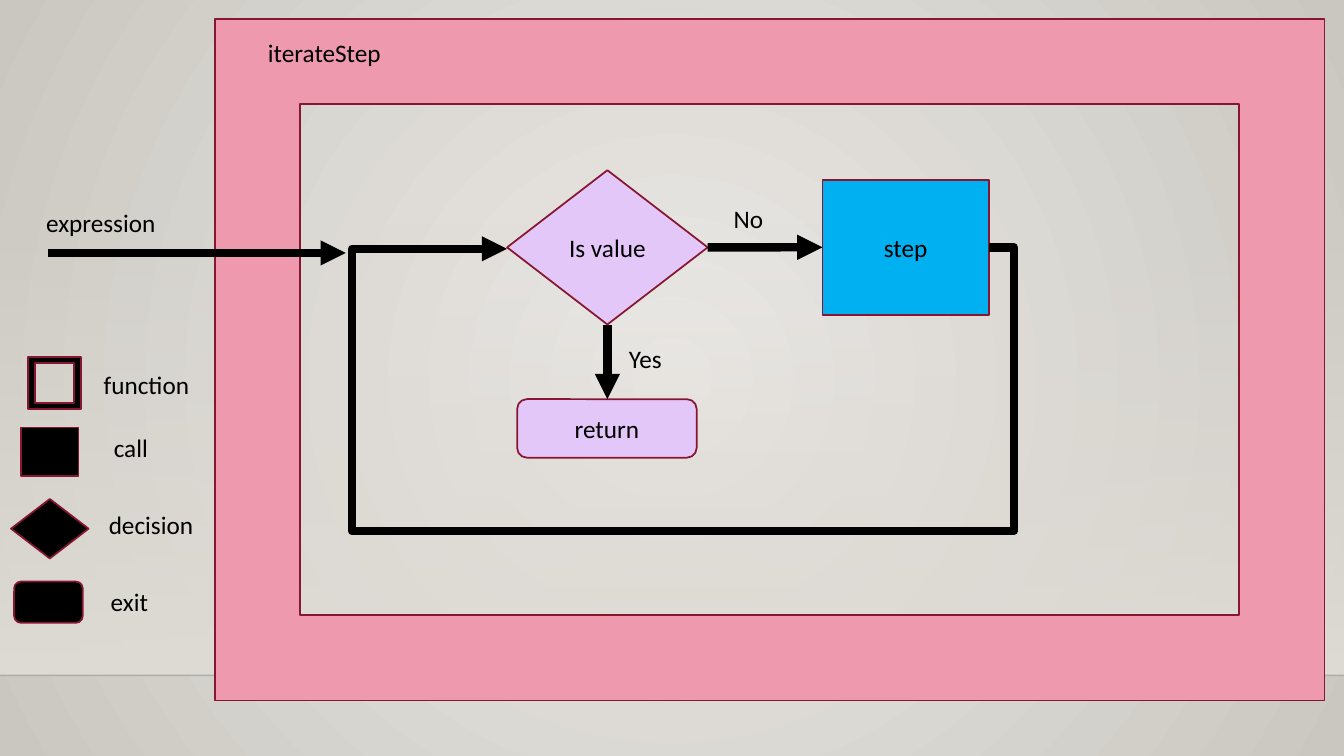
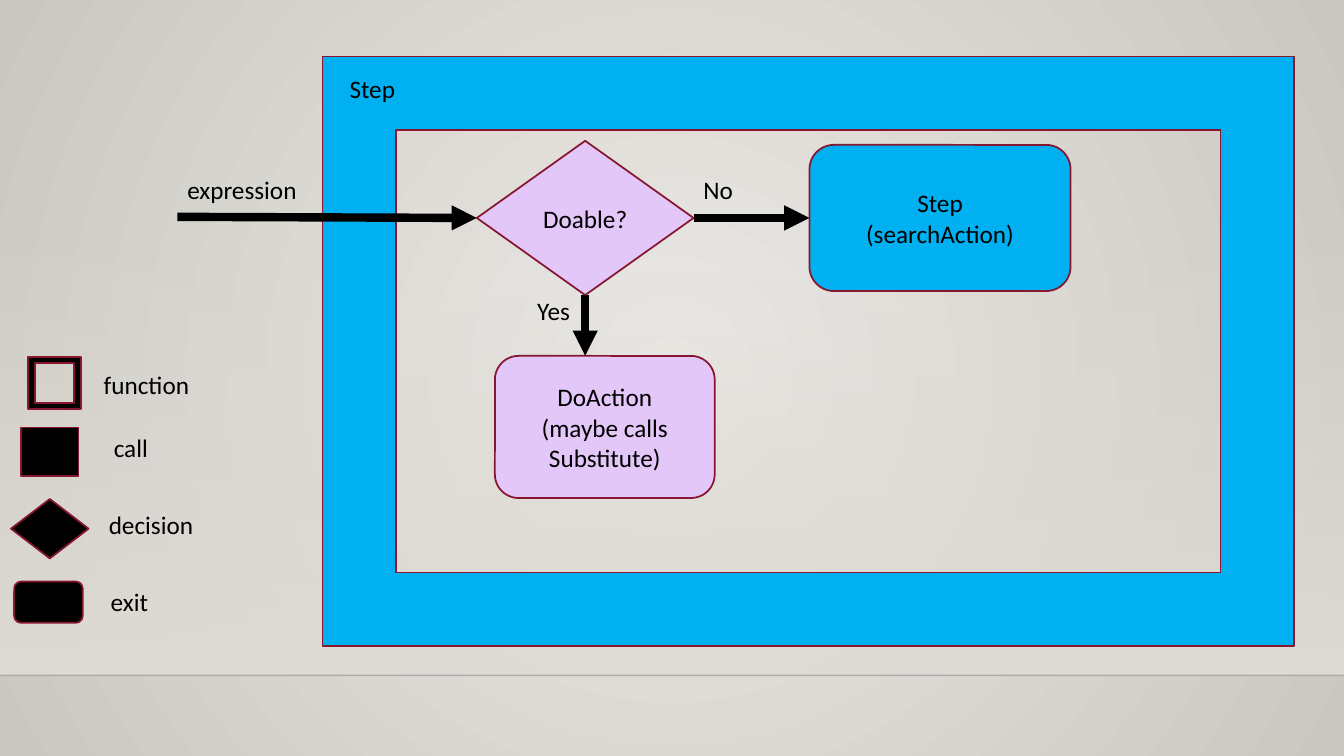
from dataclasses import dataclass

from lxml.etree import SubElement
from pptx import Presentation
from pptx.dml.color import RGBColor
from pptx.enum.shapes import MSO_CONNECTOR, MSO_SHAPE
from pptx.enum.text import MSO_ANCHOR, MSO_AUTO_SIZE, PP_ALIGN
from pptx.oxml import parse_xml
from pptx.oxml.ns import nsdecls, qn
from pptx.shapes.autoshape import Shape
from pptx.shapes.connector import Connector
from pptx.slide import Slide
from pptx.util import Pt

COLORS = {
    "ink": "000000",
    "outline": "871631",
    "lilac": "E4C7F9",
    "blue": "00B0F0",
    "pink": "EE99AD",
    "glow": "ECEAE7",
    "edge": "CAC7C1",
    "band": "DFDBD5",
    "floor": "000001",
}
FONT, FONT_SIZE = "Calibri", 18
LABEL_HEIGHT = 29.1
SLIDE_WIDTH, SLIDE_HEIGHT = 960, 540
BAND_TOP, FLOOR = 159.1, 482.4
DIAMOND_LEFT, DIAMOND_BOTTOM, DIAMOND_RIGHT = 1, 2, 3
BOX_LEFT = 1


@dataclass(frozen=True)
class Node:
    """A filled flowchart shape with optional centred lines of text."""

    kind: MSO_SHAPE
    left: float
    top: float
    width: float
    height: float
    color: str
    lines: tuple[str, ...] = ()


@dataclass(frozen=True)
class Label:
    """Free text beside a shape or arrow."""

    text: str
    left: float
    top: float
    width: float


@dataclass(frozen=True)
class Flowchart:
    """One function: its frame, its decision and both outcomes."""

    frame: Node
    decision: Node
    no_box: Node
    yes_box: Node
    labels: tuple[Label, ...]
    entry_start: tuple[float, float]
    entry_end: tuple[float, float]
    loops: bool = False


LEGEND_NODES = (
    Node(MSO_SHAPE.DIAMOND, 7.9, 356.4, 55.4, 42.5, "ink"),
    Node(MSO_SHAPE.ROUNDED_RECTANGLE, 10.1, 415.4, 49, 29.5, "ink"),
    Node(MSO_SHAPE.RECTANGLE, 15.1, 305.3, 41, 34.6, "ink"),
    Node(MSO_SHAPE.FRAME, 20.2, 254.9, 37.4, 37.4, "ink"),
)
LEGEND_LABELS = (
    Label("function", 67, 259.9, 95),
    Label("call", 74.2, 305.3, 61.9),
    Label("decision", 70.6, 360, 82.8),
    Label("exit", 72, 415.4, 56.9),
)
FLOWCHARTS = (
    Flowchart(
        frame=Node(MSO_SHAPE.FRAME, 153.4, 13.7, 792.7, 486.7, "pink"),
        decision=Node(MSO_SHAPE.DIAMOND, 362.2, 121.6, 143.3, 110.2, "lilac", ("Is value",)),
        no_box=Node(MSO_SHAPE.RECTANGLE, 587.5, 128.4, 118.8, 96.5, "blue", ("step",)),
        yes_box=Node(MSO_SHAPE.ROUNDED_RECTANGLE, 369.4, 285.1, 128.2, 41.8, "lilac", ("return",)),
        labels=(
            Label("No", 517, 141.8, 43.9),
            Label("Yes", 442.1, 241.9, 56.2),
            Label("iterateStep", 184.3, 23, 267.8),
            Label("expression", 25.9, 144.7, 110.2),
        ),
        entry_start=(34.6, 180.7),
        entry_end=(247, 180.7),
        loops=True,
    ),
    Flowchart(
        frame=Node(MSO_SHAPE.FRAME, 230.4, 40.3, 694.1, 421.2, "blue"),
        decision=Node(MSO_SHAPE.DIAMOND, 340.6, 100.6, 154.8, 110.2, "lilac", ("Doable?",)),
        no_box=Node(MSO_SHAPE.ROUNDED_RECTANGLE, 578.2, 103.5, 186.5, 104.4, "blue",
                    ("Step", "(searchAction)")),
        yes_box=Node(MSO_SHAPE.ROUNDED_RECTANGLE, 353.5, 254.2, 157, 101.5, "lilac",
                     ("DoAction", "(maybe calls Substitute)")),
        labels=(
            Label("No", 495.4, 121, 43.9),
            Label("Yes", 376.6, 207.4, 56.2),
            Label("Step", 242.6, 49, 267.8),
            Label("expression", 126.7, 121, 110.2),
        ),
        entry_start=(126.7, 154.9),
        entry_end=(340.6, 155.7),
    ),
)


def rgb(name: str) -> RGBColor:
    """Look up a named colour."""
    return RGBColor.from_string(COLORS[name])


def set_gradient(element, first: str, last: str, direction: str, first_alpha: int = 100) -> None:
    """Replace the gradient inside an element with a two-stop one."""
    gradient = element.find(".//" + qn("a:gradFill"))
    gradient.getparent().replace(gradient, parse_xml(
        f'<a:gradFill {nsdecls("a")} rotWithShape="1"><a:gsLst>'
        f'<a:gs pos="0"><a:srgbClr val="{COLORS[first]}">'
        f'<a:alpha val="{first_alpha * 1000}"/></a:srgbClr></a:gs>'
        f'<a:gs pos="100000"><a:srgbClr val="{COLORS[last]}"/></a:gs>'
        f"</a:gsLst>{direction}</a:gradFill>"))


def add_line(slide: Slide, start: tuple[float, float], end: tuple[float, float],
             color: str, width: float, kind: MSO_CONNECTOR = MSO_CONNECTOR.STRAIGHT) -> Connector:
    """Draw a connector without a shadow."""
    line = slide.shapes.add_connector(kind, *(Pt(value) for value in (*start, *end)))
    line.line.color.rgb = rgb(color)
    line.line.width = Pt(width)
    SubElement(line.element.spPr, qn("a:effectLst"))
    return line


def add_arrow(slide: Slide, start: tuple[float, float], end: tuple[float, float],
              kind: MSO_CONNECTOR = MSO_CONNECTOR.STRAIGHT) -> Connector:
    """Draw a thick black arrow."""
    arrow = add_line(slide, start, end, "ink", 6, kind)
    outline = arrow.element.find(".//" + qn("a:ln"))
    SubElement(outline, qn("a:round"))
    SubElement(outline, qn("a:tailEnd"), type="triangle")
    return arrow


def add_loop(slide: Slide, start: tuple[float, float], end: tuple[float, float],
             right: float, bottom: float, left: float) -> None:
    """Draw the five-part arrow that leads back below the boxes."""
    arrow = add_arrow(slide, start, end, MSO_CONNECTOR.ELBOW)
    width, height = start[0] - end[0], end[1] - start[1]
    ratios = ((start[0] - right) / width, (bottom - start[1]) / height, (start[0] - left) / width)
    geometry = arrow.element.find(".//" + qn("a:prstGeom"))
    geometry.set("prst", "bentConnector5")
    guides = geometry.find(qn("a:avLst"))
    for number, ratio in enumerate(ratios, 1):
        SubElement(guides, qn("a:gd"), name=f"adj{number}", fmla=f"val {round(ratio * 100000)}")


def write_lines(shape: Shape, lines: tuple[str, ...], alignment: PP_ALIGN) -> None:
    """Write one paragraph for each line."""
    frame = shape.text_frame
    frame.word_wrap = True
    frame.text = "\n".join(lines)
    for paragraph in frame.paragraphs:
        paragraph.alignment = alignment
        paragraph.font.name = FONT
        paragraph.font.size = Pt(FONT_SIZE)
        paragraph.font.color.rgb = rgb("ink")


def add_node(slide: Slide, node: Node) -> Shape:
    """Draw a flowchart shape."""
    shape = slide.shapes.add_shape(
        node.kind, Pt(node.left), Pt(node.top), Pt(node.width), Pt(node.height))
    shape.shadow.inherit = False
    shape.fill.solid()
    shape.fill.fore_color.rgb = rgb(node.color)
    shape.line.color.rgb = rgb("outline")
    shape.line.width = Pt(1.25)
    if node.lines:
        shape.text_frame.vertical_anchor = MSO_ANCHOR.MIDDLE
        write_lines(shape, node.lines, PP_ALIGN.CENTER)
    return shape


def add_label(slide: Slide, label: Label) -> None:
    """Place a left-aligned text box."""
    box = slide.shapes.add_textbox(
        Pt(label.left), Pt(label.top), Pt(label.width), Pt(LABEL_HEIGHT))
    write_lines(box, (label.text,), PP_ALIGN.LEFT)
    box.text_frame.auto_size = MSO_AUTO_SIZE.SHAPE_TO_FIT_TEXT


def style_master(presentation, slide: Slide) -> None:
    """Put the background, band and floor line on the slide master."""
    master = presentation.slide_master
    master.background.fill.gradient()
    set_gradient(master.element, "glow", "edge",
                 '<a:path path="circle"><a:fillToRect l="50000" t="50000" r="50000" b="50000"/>'
                 "</a:path>")
    band = slide.shapes.add_shape(
        MSO_SHAPE.RECTANGLE, 0, Pt(BAND_TOP), Pt(SLIDE_WIDTH), Pt(FLOOR - BAND_TOP))
    band.shadow.inherit = False
    band.line.fill.background()
    band.fill.gradient()
    set_gradient(band.element, "band", "band", '<a:lin ang="5400000" scaled="0"/>', 0)
    floor_line = add_line(slide, (0, FLOOR), (SLIDE_WIDTH, FLOOR), "floor", 1)
    floor_color = floor_line.element.find(".//" + qn("a:ln")).find(".//" + qn("a:srgbClr"))
    SubElement(floor_color, qn("a:alpha"), val="20000")
    for shape_id, shape in enumerate((band, floor_line), 100):
        shape.element.find(".//" + qn("p:cNvPr")).set("id", str(shape_id))
        master.shapes.element.append(shape.element)


def draw_flowchart(slide: Slide, chart: Flowchart) -> None:
    """Draw a function's frame, boxes, arrows and labels."""
    add_node(slide, chart.frame)
    decision = add_node(slide, chart.decision)
    no_box = add_node(slide, chart.no_box)
    add_node(slide, chart.yes_box)

    node = chart.decision
    center_x, center_y = node.left + node.width / 2, node.top + node.height / 2
    no_arrow = add_arrow(slide, (node.left + node.width, center_y), (chart.no_box.left, center_y))
    no_arrow.begin_connect(decision, DIAMOND_RIGHT)
    no_arrow.end_connect(no_box, BOX_LEFT)
    yes_arrow = add_arrow(slide, (center_x, node.top + node.height),
                          (center_x, chart.yes_box.top))
    yes_arrow.begin_connect(decision, DIAMOND_BOTTOM)
    entry = add_arrow(slide, chart.entry_start, chart.entry_end)
    if chart.loops:
        add_loop(slide, (chart.no_box.left + chart.no_box.width, center_y),
                 (node.left, center_y + 1), right=724.3, bottom=380.9, left=251.3)
    else:
        entry.end_connect(decision, DIAMOND_LEFT)
    for label in chart.labels:
        add_label(slide, label)


def draw_legend(slide: Slide) -> None:
    """Draw the key to the shapes."""
    for node in LEGEND_NODES:
        add_node(slide, node)
    for label in LEGEND_LABELS:
        add_label(slide, label)


def main() -> None:
    """Build and save the presentation."""
    presentation = Presentation()
    presentation.slide_width, presentation.slide_height = Pt(SLIDE_WIDTH), Pt(SLIDE_HEIGHT)
    blank_layout = presentation.slide_layouts.get_by_name("Blank")
    slides = [presentation.slides.add_slide(blank_layout) for _ in FLOWCHARTS]
    style_master(presentation, slides[0])
    for slide, chart in zip(slides, FLOWCHARTS):
        draw_flowchart(slide, chart)
        draw_legend(slide)
    presentation.save("out.pptx")


main()
